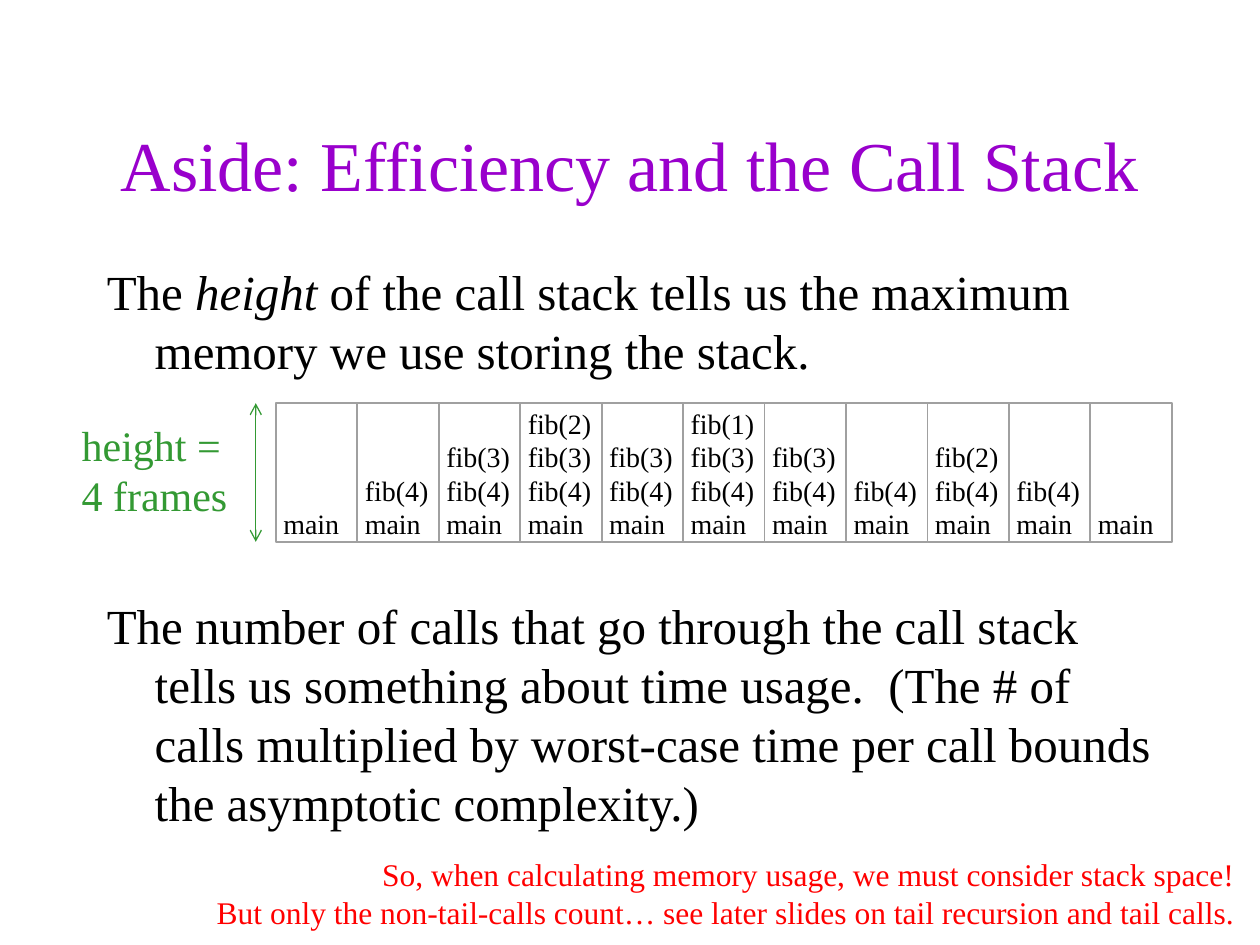
import pptx
import pptx.util
import pptx.dml.color
import pptx.enum.text
import pptx.enum.shapes
import pptx.oxml.ns
import lxml.etree

Inches = pptx.util.Inches
Pt = pptx.util.Pt
RGBColor = pptx.dml.color.RGBColor
ALIGN = pptx.enum.text.PP_ALIGN
ANCHOR = pptx.enum.text.MSO_ANCHOR
RECTANGLE = pptx.enum.shapes.MSO_SHAPE.RECTANGLE

PURPLE = RGBColor(0x99, 0x00, 0xCC)
BLACK = RGBColor(0x00, 0x00, 0x00)
GREEN = RGBColor(0x33, 0x99, 0x33)
RED = RGBColor(0xFF, 0x00, 0x00)
GRAY = RGBColor(0xA0, 0xA0, 0xA0)
WHITE = RGBColor(0xFF, 0xFF, 0xFF)

presentation = pptx.Presentation()
presentation.slide_width = Inches(10)
presentation.slide_height = Inches(7.5)
slide = presentation.slides.add_slide(presentation.slide_layouts[6])


def write(shape, paragraphs, size, color, frame_format, align=ALIGN.LEFT):
    frame = shape.text_frame
    for name, value in frame_format.items():
        setattr(frame, name, value)
    for index, runs in enumerate(paragraphs):
        paragraph = frame.add_paragraph() if index else frame.paragraphs[0]
        paragraph.alignment = align
        for text, italic in runs:
            run = paragraph.add_run()
            run.text = text
            font_format = {"name": "Times New Roman", "size": Pt(size), "italic": italic}
            for name, value in font_format.items():
                setattr(run.font, name, value)
            run.font.color.rgb = color
    return frame


def add_rectangle(left, top, width, height):
    rectangle = slide.shapes.add_shape(
        RECTANGLE, Inches(left), Inches(top), Inches(width), Inches(height))
    rectangle.shadow.inherit = False
    return rectangle


title = slide.shapes.add_textbox(Inches(0.75), Inches(0.67), Inches(8.5), Inches(1.25))
write(title, [[("Aside: Efficiency and the Call Stack", False)]], 40, PURPLE,
      {"word_wrap": True, "vertical_anchor": ANCHOR.MIDDLE}, ALIGN.CENTER)

body = slide.shapes.add_textbox(Inches(0.75), Inches(2.03), Inches(8.5), Inches(4.5))
body_frame = write(body, [
    [("The ", False), ("height", True),
     (" of the call stack tells us the maximum memory we use storing the stack.", False)],
    [("The number of calls that go through the call stack tells us something about "
      "time usage.  (The # of calls multiplied by worst-case time per call bounds "
      "the asymptotic complexity.)", False)],
], 28, BLACK, {"word_wrap": True})
for paragraph, space in zip(body_frame.paragraphs, (5.6, 123.4)):
    paragraph.space_before = Pt(space)
    properties = paragraph._p.get_or_add_pPr()
    properties.set("marL", str(Inches(0.38)))
    properties.set("indent", str(-Inches(0.38)))

stacks = [
    "main", "fib(4) main", "fib(3) fib(4) main", "fib(2) fib(3) fib(4) main",
    "fib(3) fib(4) main", "fib(1) fib(3) fib(4) main", "fib(3) fib(4) main",
    "fib(4) main", "fib(2) fib(4) main", "fib(4) main", "main",
]
stack_left, stack_top, stack_width, stack_height = 2.19, 3.2, 7.11, 1.1
column_width = stack_width / len(stacks)
cell_format = {
    "word_wrap": True, "vertical_anchor": ANCHOR.BOTTOM,
    "margin_left": Inches(0.06), "margin_right": 0,
    "margin_top": 0, "margin_bottom": Inches(0.01),
}
for column, stack in enumerate(stacks):
    cell = add_rectangle(stack_left + column * column_width, stack_top,
                         column_width, stack_height)
    cell.fill.background()
    cell.line.color.rgb = GRAY
    cell.line.width = Pt(1)
    write(cell, [[(call, False)] for call in stack.split()], 16, BLACK, cell_format)

height_arrow = slide.shapes.add_connector(
    pptx.enum.shapes.MSO_CONNECTOR.STRAIGHT, Inches(2.03), Inches(stack_top),
    Inches(2.03), Inches(stack_top + stack_height))
height_arrow.line.color.rgb = GREEN
height_arrow.line.width = Pt(0.75)
line_element = height_arrow.line._get_or_add_ln()
for end in ("a:headEnd", "a:tailEnd"):
    lxml.etree.SubElement(line_element, pptx.oxml.ns.qn(end)).set("type", "arrow")
lxml.etree.SubElement(height_arrow._element.spPr, pptx.oxml.ns.qn("a:effectLst"))

height_label = slide.shapes.add_textbox(Inches(0.55), Inches(3.28), Inches(1.37), Inches(0.91))
write(height_label, [[("height =", False)], [("4 frames", False)]], 24, GREEN,
      {"word_wrap": False})

conclusion = add_rectangle(1.54, 6.74, 8.36, 0.71)
conclusion.fill.solid()
conclusion.fill.fore_color.rgb = WHITE
conclusion.line.fill.background()
write(conclusion, [
    [("So, when calculating memory usage, we must consider stack space!", False)],
    [("But only the non-tail-calls count… see later slides on tail recursion "
      "and tail calls.", False)],
], 18, RED, {"word_wrap": False, "vertical_anchor": ANCHOR.TOP}, ALIGN.RIGHT)

presentation.save("out.pptx")
